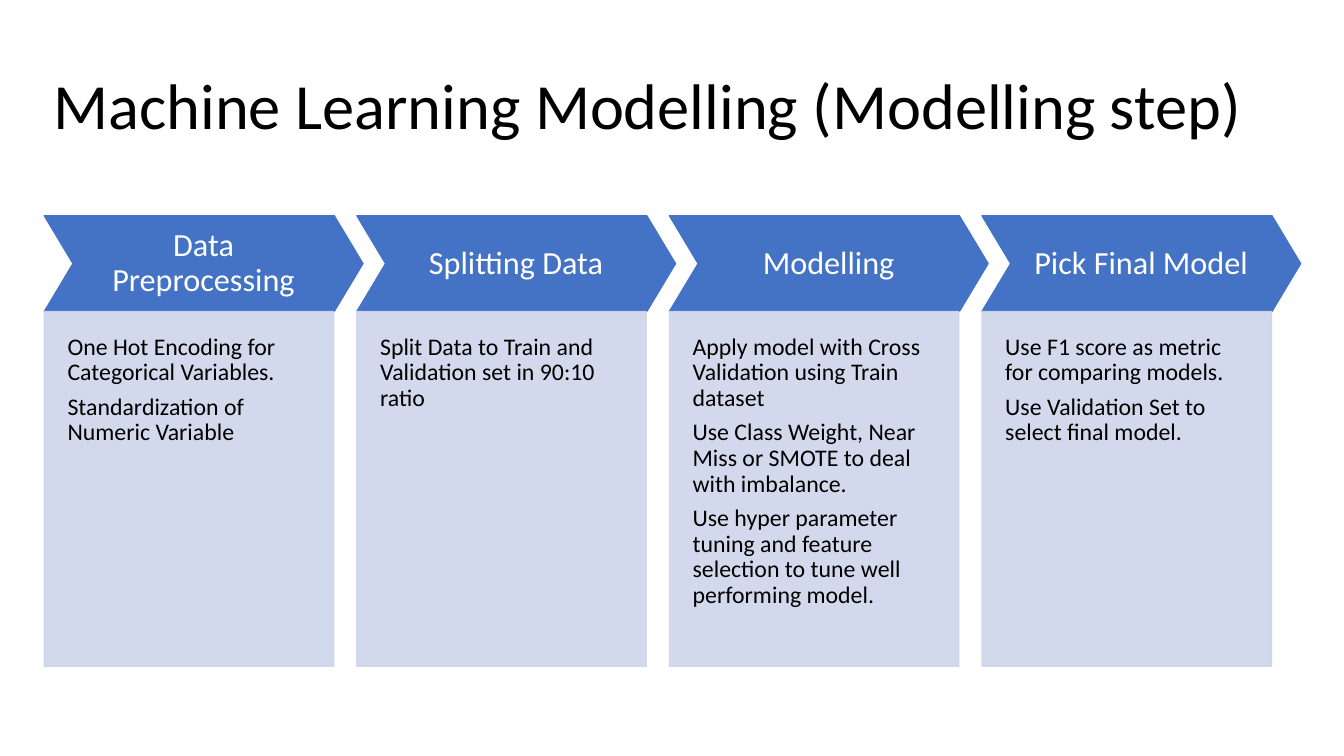
from dataclasses import dataclass

from lxml import etree
from pptx import Presentation
from pptx import util as u
from pptx.dml.color import RGBColor
from pptx.enum import shapes, text
from pptx.oxml.ns import qn


@dataclass(frozen=True)
class Theme:
    font: str = "Calibri"
    ink: str = "000000"
    accent: str = "4472C4"
    on_accent: str = "FFFFFF"
    panel: str = "CFD5EA"
    panel_opacity: int = 90
    title_size: int = 46
    step_size: int = 23
    detail_size: int = 17
    line_spacing: float = 0.9
    detail_gap: int = 6


@dataclass(frozen=True)
class Grid:
    left: float = 0.44
    pitch: float = 3.1
    chevron_width: float = 3.16
    panel_width: float = 2.87
    head_top: float = 2.14
    head_height: float = 0.95
    panel_height: float = 3.52

    def column(self, index):
        return self.left + index * self.pitch

    @property
    def panel_top(self):
        return self.head_top + self.head_height


class ProcessSlide:
    def __init__(self, deck, theme, grid):
        self.theme = theme
        self.grid = grid
        self.slide = deck.slides.add_slide(deck.slide_layouts[5])

    def set_text(self, shape, paragraphs, size, color, align, anchor, insets=None, gap=0):
        frame = shape.text_frame
        frame.text = "\n".join(paragraphs)
        frame.word_wrap = True
        frame.auto_size = text.MSO_AUTO_SIZE.NONE
        frame.vertical_anchor = anchor
        if insets:
            (frame.margin_left, frame.margin_top,
             frame.margin_right, frame.margin_bottom) = map(u.Inches, insets)
        for paragraph in frame.paragraphs:
            paragraph.alignment = align
            paragraph.line_spacing = self.theme.line_spacing
            paragraph.space_before = u.Pt(0)
            paragraph.space_after = u.Pt(gap)
            for run in paragraph.runs:
                run.font.name = self.theme.font
                run.font.size = u.Pt(size)
                run.font.color.rgb = RGBColor.from_string(color)

    def block(self, preset, box, color, opacity=100):
        shape = self.slide.shapes.add_shape(preset, *map(u.Inches, box))
        shape.shadow.inherit = False
        shape.fill.solid()
        shape.line.width = u.Pt(1)
        for paint in (shape.fill.fore_color, shape.line.color):
            paint.rgb = RGBColor.from_string(color)
        if opacity < 100:
            for tint in shape.element.spPr.iter(qn("a:srgbClr")):
                etree.SubElement(tint, qn("a:alpha"), val=str(opacity * 1000))
        return shape

    def title(self, wording):
        heading = self.slide.shapes.title
        heading.left, heading.top, heading.width, heading.height = map(
            u.Inches, (0.43, 0.35, 12.48, 1.45))
        self.set_text(heading, [wording], self.theme.title_size, self.theme.ink,
                      text.PP_ALIGN.LEFT, text.MSO_ANCHOR.MIDDLE)

    def step(self, column, name):
        grid = self.grid
        chevron = self.block(
            shapes.MSO_SHAPE.CHEVRON,
            (grid.column(column), grid.head_top, grid.chevron_width, grid.head_height),
            self.theme.accent)
        chevron.adjustments[0] = 0.3
        self.set_text(chevron, [name], self.theme.step_size, self.theme.on_accent,
                      text.PP_ALIGN.CENTER, text.MSO_ANCHOR.MIDDLE, (0.12,) * 4)

    def details(self, column, points):
        grid = self.grid
        panel = self.block(
            shapes.MSO_SHAPE.RECTANGLE,
            (grid.column(column), grid.panel_top, grid.panel_width, grid.panel_height),
            self.theme.panel, self.theme.panel_opacity)
        self.set_text(panel, points, self.theme.detail_size, self.theme.ink,
                      text.PP_ALIGN.LEFT, text.MSO_ANCHOR.TOP,
                      (0.23, 0.23, 0.23, 0.45), self.theme.detail_gap)


STEPS = {
    "Data Preprocessing": [
        "One Hot Encoding for Categorical Variables.",
        "Standardization of Numeric Variable",
    ],
    "Splitting Data": [
        "Split Data to Train and Validation set in 90:10 ratio",
    ],
    "Modelling": [
        "Apply model with Cross Validation using Train dataset",
        "Use Class Weight, Near Miss or SMOTE to deal with imbalance.",
        "Use hyper parameter tuning and feature selection to tune well performing model.",
    ],
    "Pick Final Model": [
        "Use F1 score as metric for comparing models.",
        "Use Validation Set to select final model.",
    ],
}


def main():
    deck = Presentation()
    deck.slide_width, deck.slide_height = u.Inches(13.33), u.Inches(7.5)
    modelling = ProcessSlide(deck, Theme(), Grid())
    modelling.title("Machine Learning Modelling (Modelling step)")
    for column, (name, points) in enumerate(STEPS.items()):
        modelling.step(column, name)
        modelling.details(column, points)
    deck.save("out.pptx")


if __name__ == "__main__":
    main()
